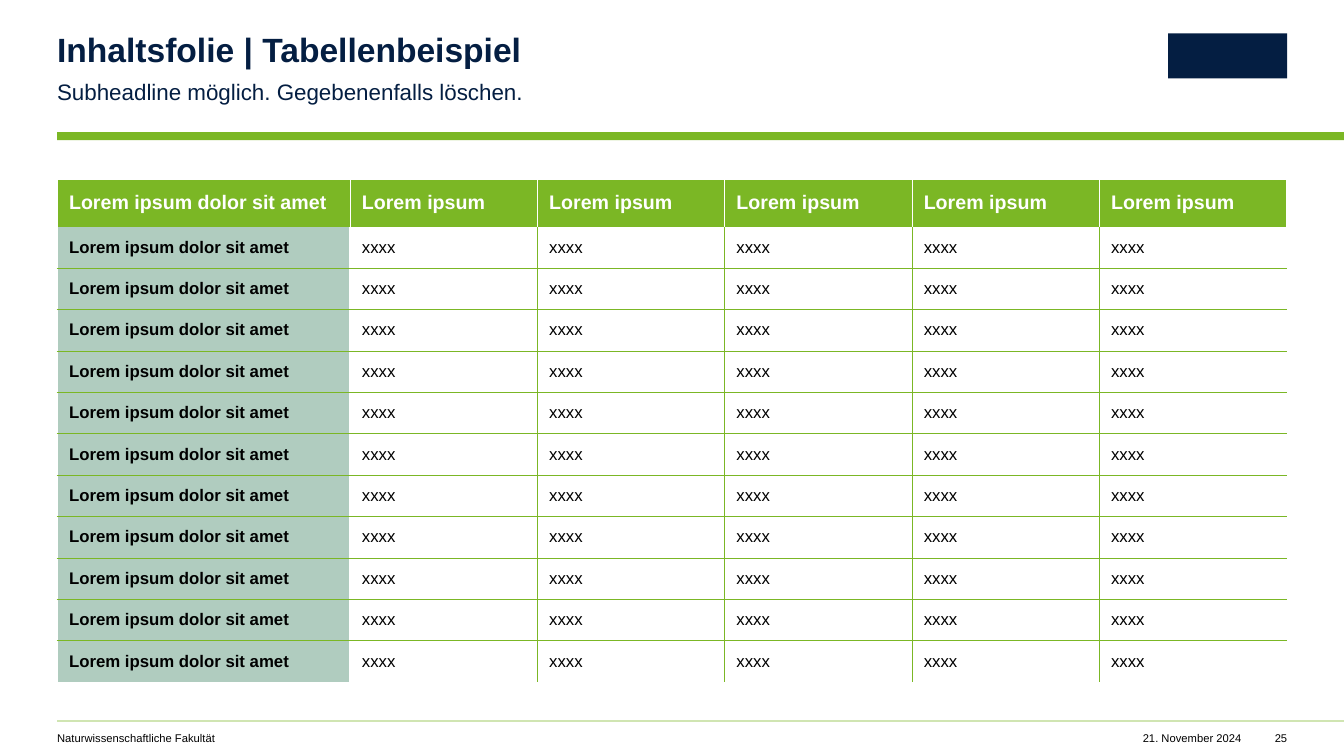
from dataclasses import dataclass

from lxml import etree
from pptx import Presentation
from pptx.dml.color import RGBColor
from pptx.enum import shapes, text
from pptx.oxml import ns
from pptx.util import Cm, Pt

TITLE = "Inhaltsfolie | Tabellenbeispiel"
SUBTITLE = "Subheadline möglich. Gegebenenfalls löschen."
FACULTY = "Naturwissenschaftliche Fakultät"
DATE = "21. November 2024"
PAGE_NUMBER = "25"
VALUE_COLUMNS, DATA_ROWS = 5, 11
HEADER = ["Lorem ipsum dolor sit amet"] + ["Lorem ipsum"] * VALUE_COLUMNS
ROWS = [HEADER] + [["Lorem ipsum dolor sit amet"] + ["xxxx"] * VALUE_COLUMNS] * DATA_ROWS


@dataclass(frozen=True)
class Theme:
    font: str = "Arial"
    navy: str = "041E42"
    green: str = "7BB725"
    sage: str = "B0CCBF"
    white: str = "FFFFFF"
    black: str = "000000"
    title: int = 24
    subtitle: int = 16
    header: int = 14
    body: int = 12
    footer: int = 8


THEME = Theme()

# Lengths in centimetres
PAGE_WIDTH, PAGE_HEIGHT = 33.87, 19.05
LEFT, RIGHT = 1.44, 32.44
FOOTER_TOP, FOOTER_HEIGHT = 18.44, 0.33
TABLE_TOP, TABLE_HEIGHT, HEADER_HEIGHT = 4.52, 12.67, 1.19
LABEL_WIDTH, VALUE_WIDTH = 7.38, 4.72


def add_span(para, words, size, color, bold=False):
    span = para.add_run()
    span.text = words
    span.font.name = THEME.font
    span.font.size = Pt(size)
    span.font.bold = bold
    span.font.color.rgb = RGBColor.from_string(color)


def add_text(page, words, left, top, width, height, size, color, bold=False,
             align=text.PP_ALIGN.LEFT, spacing=1.0):
    box = page.shapes.add_textbox(Cm(left), Cm(top), Cm(width), Cm(height))
    frame = box.text_frame
    frame.word_wrap = True
    frame.margin_left = frame.margin_right = frame.margin_top = frame.margin_bottom = 0
    para = frame.paragraphs[0]
    para.alignment = align
    para.line_spacing = spacing
    add_span(para, words, size, color, bold)


def add_block(page, left, top, width, height, color):
    block = page.shapes.add_shape(shapes.MSO_SHAPE.RECTANGLE,
                                  Cm(left), Cm(top), Cm(width), Cm(height))
    block.shadow.inherit = False
    block.fill.solid()
    block.fill.fore_color.rgb = RGBColor.from_string(color)
    block.line.fill.background()


def set_border(cell, side, border):
    """Draw one cell edge; border is (colour, points) or None for no line."""
    properties = cell._tc.get_or_add_tcPr()
    line = etree.SubElement(properties, ns.qn(f"a:ln{side}"))
    if border is None:
        etree.SubElement(line, ns.qn("a:noFill"))
        return
    color, points = border
    line.set("w", str(Pt(points)))
    fill = etree.SubElement(line, ns.qn("a:solidFill"))
    etree.SubElement(fill, ns.qn("a:srgbClr")).set("val", color)


def cell_borders(row, column):
    """Return the edges of a cell in the order the file format requires."""
    outer, thin = (THEME.white, 1), (THEME.green, 0.25)
    inner = (THEME.white, 0.5) if row == 0 else thin
    label_edge = inner if row == 0 else outer
    return {
        "L": outer if column == 0 else label_edge if column == 1 else inner,
        "R": outer if column == VALUE_COLUMNS else label_edge if column == 0 else inner,
        "T": outer if row == 0 else None if row == 1 else thin,
        "B": None if row in (0, DATA_ROWS) else thin,
    }


def fill_cell(cell, row, column, words):
    is_header, is_label = row == 0, column == 0
    cell.margin_left = cell.margin_right = Cm(0.3)
    cell.margin_top = cell.margin_bottom = Cm(0.1)
    cell.vertical_anchor = text.MSO_ANCHOR.MIDDLE
    for side, border in cell_borders(row, column).items():
        set_border(cell, side, border)
    if is_header or is_label:
        cell.fill.solid()
        color = THEME.green if is_header else THEME.sage
        cell.fill.fore_color.rgb = RGBColor.from_string(color)
    else:
        cell.fill.background()
    add_span(cell.text_frame.paragraphs[0], words,
             THEME.header if is_header else THEME.body,
             THEME.white if is_header else THEME.black,
             is_header or is_label)


def add_grid(page):
    widths = [LABEL_WIDTH] + [VALUE_WIDTH] * VALUE_COLUMNS
    row_height = (TABLE_HEIGHT - HEADER_HEIGHT) / DATA_ROWS
    table = page.shapes.add_table(len(ROWS), len(widths), Cm(LEFT), Cm(TABLE_TOP),
                                  Cm(sum(widths)), Cm(TABLE_HEIGHT)).table
    table.first_row = table.horz_banding = False
    for column, width in enumerate(widths):
        table.columns[column].width = Cm(width)
    for row, entries in enumerate(ROWS):
        table.rows[row].height = Cm(row_height if row else HEADER_HEIGHT)
        for column, words in enumerate(entries):
            fill_cell(table.cell(row, column), row, column, words)


def add_footer(page):
    right = text.PP_ALIGN.RIGHT
    for words, left, end, align in [
        (FACULTY, LEFT, 16.64, text.PP_ALIGN.LEFT),
        (DATE, 28.29, 31.29, right),
        (PAGE_NUMBER, 31.64, RIGHT, right),
    ]:
        add_text(page, words, left, FOOTER_TOP, end - left, FOOTER_HEIGHT,
                 THEME.footer, THEME.black, align=align)


def main():
    deck = Presentation()
    deck.slide_width, deck.slide_height = Cm(PAGE_WIDTH), Cm(PAGE_HEIGHT)
    page = deck.slides.add_slide(deck.slide_layouts[6])
    for top, height in [(3.33, 0.2), (18.16, 0.02)]:
        add_block(page, LEFT, top, PAGE_WIDTH - LEFT, height, THEME.green)
    add_block(page, 29.44, 0.84, RIGHT - 29.44, 1.14, THEME.navy)
    add_footer(page)
    add_grid(page)
    add_text(page, TITLE, LEFT, 0.84, 19.02, 0.91, THEME.title, THEME.navy,
             bold=True, spacing=0.9)
    add_text(page, SUBTITLE, LEFT, 1.9, 19.02, 0.69, THEME.subtitle, THEME.navy,
             spacing=1.1)
    deck.save("out.pptx")


if __name__ == "__main__":
    main()
